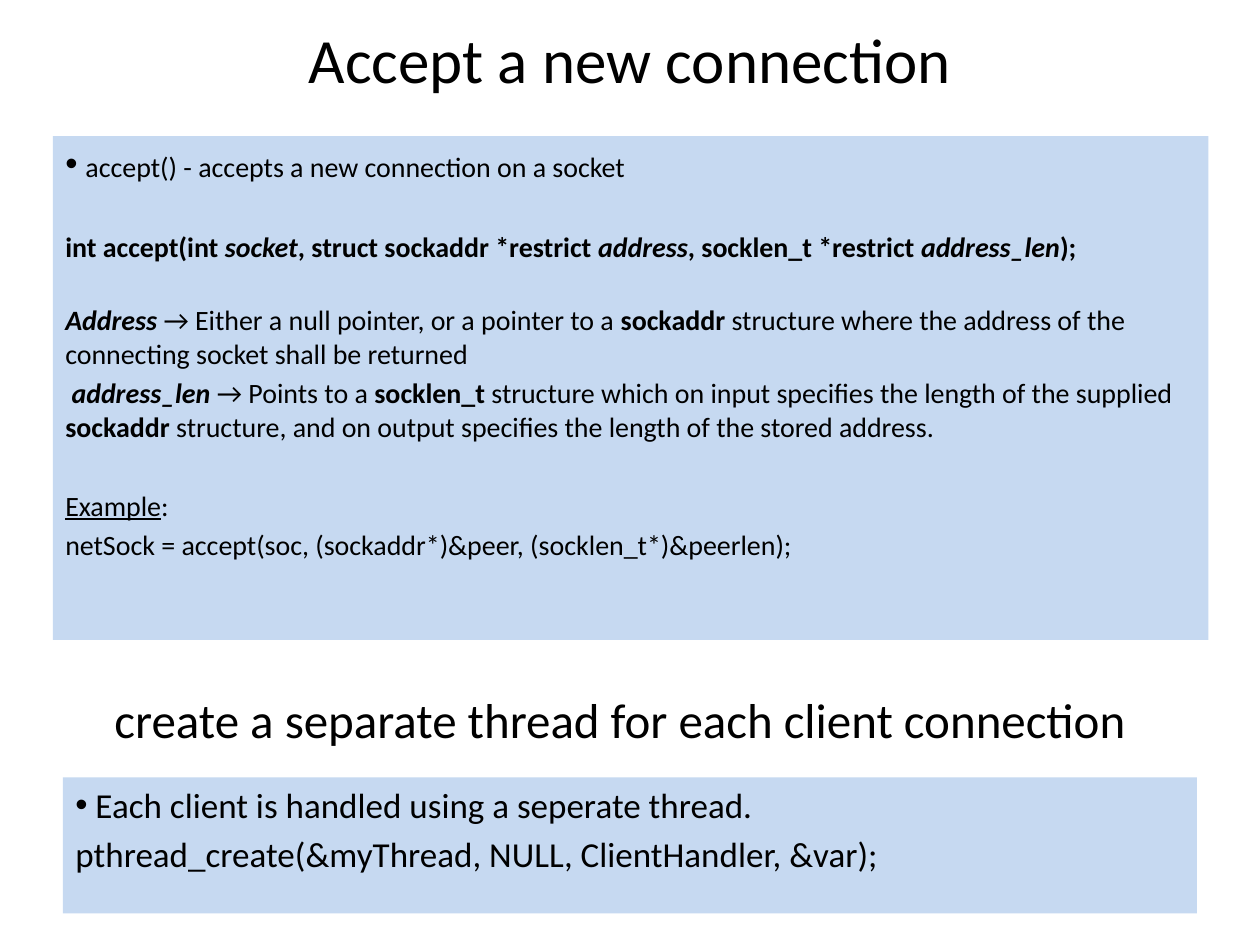
from lxml import etree
from pptx import Presentation
from pptx.dml.color import RGBColor
from pptx.enum import shapes, text
from pptx.oxml.ns import qn
from pptx.util import Inches, Pt

BLACK = RGBColor(0x00, 0x00, 0x00)
PALE_BLUE = RGBColor(0xC6, 0xD9, 0xF1)

deck = Presentation()
deck.slide_width, deck.slide_height = Inches(10), Inches(7.5)
slide = deck.slides.add_slide(deck.slide_layouts[6])


def add_run(paragraph, wording, size, style=""):
    """Style letters: b bold, i italic, u underline."""
    run = paragraph.add_run()
    run.text = wording
    font = run.font
    font.name, font.size, font.color.rgb = "Calibri", Pt(size), BLACK
    font.bold, font.italic, font.underline = (key in style for key in "biu")


# Headings: wording, left, top, width, height, size
headings = [
    ("Accept a new connection", 0.75, 0, 8.5, 0.92, 36),
    ("create a separate thread for each client connection", 0.67, 5.33, 8.5, 0.75, 28),
]
for wording, left, top, width, height, size in headings:
    heading = slide.shapes.add_textbox(*map(Inches, (left, top, width, height)))
    frame = heading.text_frame
    frame.word_wrap = True
    frame.vertical_anchor = text.MSO_ANCHOR.MIDDLE
    frame.paragraphs[0].alignment = text.PP_ALIGN.CENTER
    add_run(frame.paragraphs[0], wording, size)

# Panel text: each paragraph is space before in points, then its runs
accept_lines = [
    (0, [(" ", 20), ("accept() - accepts a new connection on a socket", 16)]),
    (26, [("int accept(int ", 16, "b"), ("socket", 16, "bi"),
          (", struct sockaddr *restrict ", 16, "b"), ("address", 16, "bi"),
          (", socklen_t *restrict ", 16, "b"), ("address_len", 16, "bi"), (");", 16, "b")]),
    (22.5, [("Address ", 16, "bi"), ("→ Either a null pointer, or a pointer to a ", 16),
            ("sockaddr", 16, "b"),
            (" structure where the address of the connecting socket shall be returned", 16)]),
    (3.2, [(" ", 16, "b"), ("address_len ", 16, "bi"), ("→ Points to a ", 16),
           ("socklen_t", 16, "b"),
           (" structure which on input specifies the length of the supplied ", 16),
           ("sockaddr", 16, "b"),
           (" structure, and on output specifies the length of the stored address.", 16)]),
    (26, [("Example", 16, "u"), (":", 16)]),
    (3.2, [("netSock = accept(soc, (sockaddr*)&peer, (socklen_t*)&peerlen);", 16)]),
]
thread_lines = [
    (0, [(" Each client is handled using a seperate thread.", 20)]),
    (4, [("pthread_create(&myThread, NULL, ClientHandler, &var);", 20)]),
]

# Panels: the first paragraph of each has a bullet
panels = [
    ((0.42, 1.08, 9.17, 4), accept_lines),
    ((0.5, 6.17, 9, 1.08), thread_lines),
]
for place, lines in panels:
    panel = slide.shapes.add_shape(shapes.MSO_SHAPE.RECTANGLE, *map(Inches, place))
    panel.shadow.inherit = False
    panel.fill.solid()
    panel.fill.fore_color.rgb = PALE_BLUE
    panel.line.fill.background()
    frame = panel.text_frame
    frame.word_wrap = True
    frame.vertical_anchor = text.MSO_ANCHOR.TOP
    for index, (space_before, runs) in enumerate(lines):
        paragraph = frame.add_paragraph() if index else frame.paragraphs[0]
        paragraph.alignment = text.PP_ALIGN.LEFT
        paragraph.space_before = Pt(space_before)
        for run in runs:
            add_run(paragraph, *run)
    properties = frame.paragraphs[0]._p.get_or_add_pPr()
    etree.SubElement(properties, qn("a:buFont"), typeface="Arial")
    etree.SubElement(properties, qn("a:buChar"), char="•")

deck.save("out.pptx")
